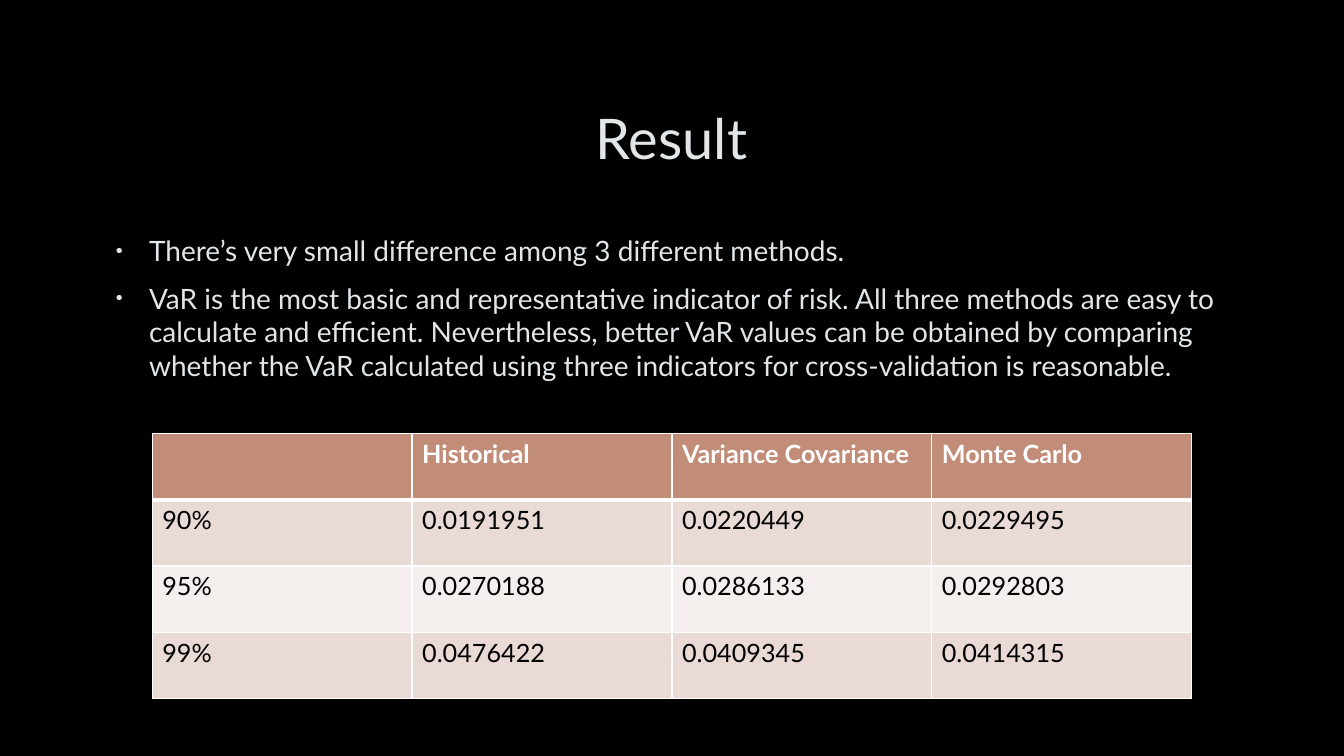
from lxml.etree import SubElement
from pptx import Presentation
from pptx.dml.color import RGBColor
from pptx.enum.text import MSO_ANCHOR, PP_ALIGN
from pptx.oxml.ns import qn
from pptx.util import Inches, Pt

TITLE = "Result"
POINTS = [
    "There’s very small difference among 3 different methods.",
    "VaR is the most basic and representative indicator of risk. All three methods are easy to "
    "calculate and efficient. Nevertheless, better VaR values can be obtained by comparing "
    "whether the VaR calculated using three indicators for cross-validation is reasonable.",
]
ROWS = [
    ("", "Historical", "Variance Covariance", "Monte Carlo"),
    ("90%", "0.0191951", "0.0220449", "0.0229495"),
    ("95%", "0.0270188", "0.0286133", "0.0292803"),
    ("99%", "0.0476422", "0.0409345", "0.0414315"),
]
FONT = "Lato"
BLACK = RGBColor(0x00, 0x00, 0x00)
WHITE = RGBColor(0xFF, 0xFF, 0xFF)
PALE = RGBColor(0xE2, 0xE6, 0xE8)
HEADER = RGBColor(0xC1, 0x8C, 0x78)
DARK_BAND = RGBColor(0xE9, 0xDA, 0xD6)
LIGHT_BAND = RGBColor(0xF4, 0xEE, 0xEC)


def write(para, text, size=20, color=PALE, bold=False, align=PP_ALIGN.LEFT):
    para.alignment = align
    span = para.add_run()
    span.text = text
    span.font.name = FONT
    span.font.size = Pt(size)
    span.font.bold = bold
    span.font.color.rgb = color


def add_text_frame(page, top, height, anchor):
    box = page.shapes.add_textbox(Inches(1), Inches(top), Inches(11.32), Inches(height))
    frame = box.text_frame
    frame.word_wrap = True
    frame.vertical_anchor = anchor
    return frame


def add_bullet(para):
    para.space_after = Pt(10)
    properties = para._p.get_or_add_pPr()
    properties.set("marL", str(Inches(0.38)))
    properties.set("indent", str(Inches(-0.33)))
    color = SubElement(properties, qn("a:buClr"))
    SubElement(color, qn("a:srgbClr"), val=str(PALE))
    SubElement(properties, qn("a:buSzPct"), val="70000")
    SubElement(properties, qn("a:buFont"), typeface="Arial")
    SubElement(properties, qn("a:buChar"), char="•")


def fill_cell(cell, fill, edges):
    properties = cell._tc.get_or_add_tcPr()
    for side, width in edges.items():
        line = SubElement(properties, qn(f"a:{side}"), w=str(Pt(width)))
        solid = SubElement(line, qn("a:solidFill"))
        SubElement(solid, qn("a:srgbClr"), val=str(WHITE))
    cell.fill.solid()
    cell.fill.fore_color.rgb = fill


def add_result_table(page):
    frame = page.shapes.add_table(
        len(ROWS), len(ROWS[0]), Inches(1.51), Inches(4.3), Inches(10.31), Inches(2.63)
    )
    table = frame.table
    for row, values in enumerate(ROWS):
        header = row == 0
        fill = HEADER if header else DARK_BAND if row % 2 else LIGHT_BAND
        edges = {"lnL": 1, "lnR": 1, "lnT": 3 if row == 1 else 1, "lnB": 3 if header else 1}
        for column, value in enumerate(values):
            cell = table.cell(row, column)
            fill_cell(cell, fill, edges)
            write(cell.text_frame.paragraphs[0], value, size=18,
                  color=WHITE if header else BLACK, bold=header)


def main():
    deck = Presentation()
    deck.slide_width, deck.slide_height = Inches(13.33), Inches(7.5)
    page = deck.slides.add_slide(deck.slide_layouts[6])
    page.background.fill.solid()
    page.background.fill.fore_color.rgb = BLACK

    title = add_text_frame(page, 0.67, 1.38, MSO_ANCHOR.MIDDLE)
    write(title.paragraphs[0], TITLE, size=40, align=PP_ALIGN.CENTER)

    body = add_text_frame(page, 2.27, 4.06, MSO_ANCHOR.TOP)
    for index, text in enumerate(POINTS):
        para = body.add_paragraph() if index else body.paragraphs[0]
        add_bullet(para)
        write(para, text)

    add_result_table(page)
    deck.save("out.pptx")


if __name__ == "__main__":
    main()
